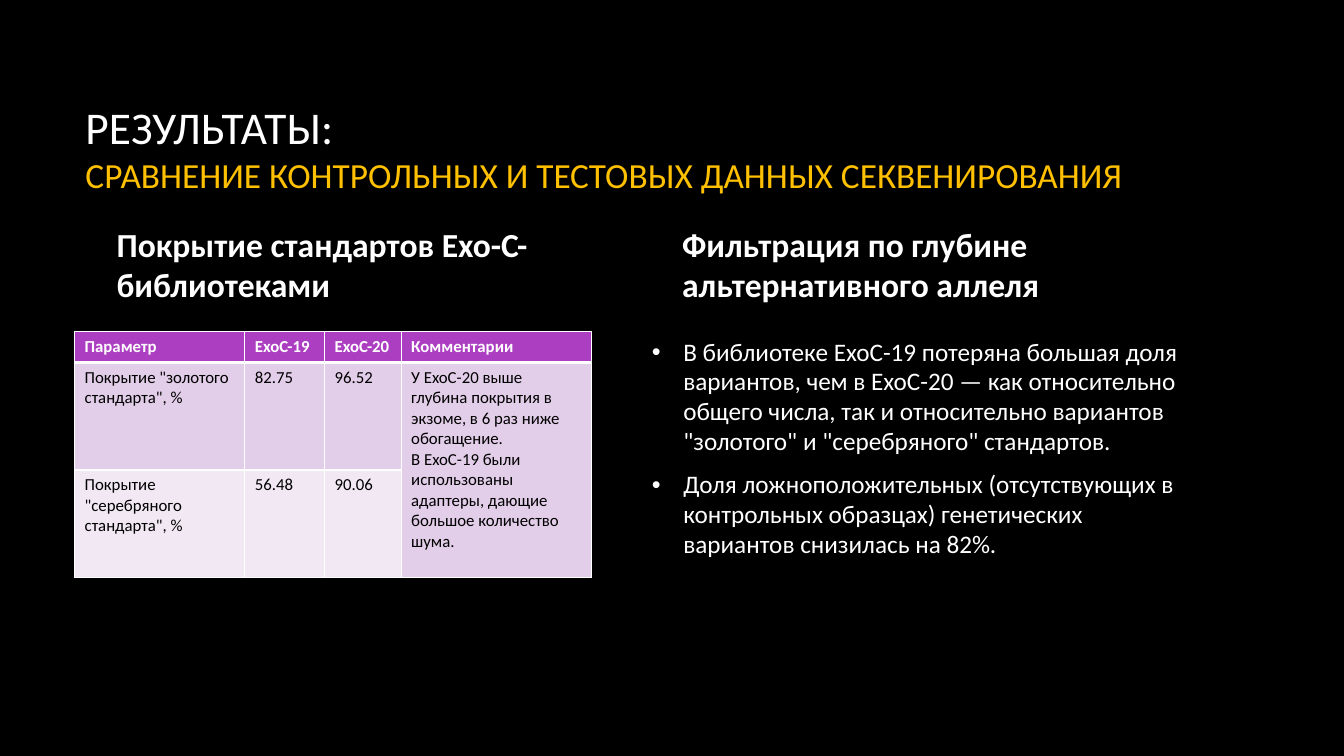
from lxml.etree import SubElement
from pptx import Presentation
from pptx.dml.color import RGBColor
from pptx.enum.text import MSO_ANCHOR as Anchor, MSO_AUTO_SIZE as AutoSize, PP_ALIGN as Align
from pptx.oxml.ns import qn
from pptx.util import Cm, Pt

WHITE, BLACK, GOLD = "FFFFFF", "000000", "FFC000"
HEADER_FILL, BAND_FILLS = "AC3EC1", ("E3CEE9", "F1E8F4")

HEADINGS = [
    ("Покрытие стандартов Exo-C-библиотеками", (2.69, 6.2, 11.13, 1.6)),
    ("Фильтрация по глубине альтернативного аллеля", (16.94, 6.2, 13.11, 1.6)),
]
FINDINGS = [
    "В библиотеке ExoC-19 потеряна большая доля вариантов, чем в ExoC-20 — как относительно "
    "общего числа, так и относительно вариантов \"золотого\" и \"серебряного\" стандартов.",
    "Доля ложноположительных (отсутствующих в контрольных образцах) генетических вариантов "
    "снизилась на 82%.",
]
COMMENT = (
    "У ExoC-20 выше глубина покрытия в экзоме, в 6 раз ниже обогащение.\n"
    "В ExoC-19 были использованы адаптеры, дающие большое количество шума."
)
COVERAGE = [
    ["Параметр", "ExoC-19", "ExoC-20", "Комментарии"],
    ["Покрытие \"золотого стандарта\", %", "82.75", "96.52", COMMENT],
    ["Покрытие \"серебряного стандарта\", %", "56.48", "90.06", ""],
]


def color(value):
    return RGBColor.from_string(value)


class SlideBuilder:
    font = "Calibri"

    def __init__(self, deck):
        self.page = deck.slides.add_slide(deck.slide_layouts[5])
        fill = self.page.background.fill
        fill.solid()
        fill.fore_color.rgb = color(BLACK)

    def span(self, para, text, size, ink=WHITE, bold=False):
        span = para.add_run()
        span.text = text
        for name, value in {"name": self.font, "size": Pt(size), "bold": bold}.items():
            setattr(span.font, name, value)
        span.font.color.rgb = color(ink)

    def frame(self, shape, anchor):
        frame = shape.text_frame
        settings = {"word_wrap": True, "auto_size": AutoSize.NONE, "vertical_anchor": anchor}
        for name, value in settings.items():
            setattr(frame, name, value)
        return frame

    def title(self, lines, area):
        title = self.page.shapes.title
        for name, value in zip(("left", "top", "width", "height"), area):
            setattr(title, name, Cm(value))
        para = self.frame(title, Anchor.MIDDLE).paragraphs[0]
        para.alignment = Align.LEFT
        for index, (text, size, ink) in enumerate(lines):
            if index:
                para.add_line_break()
            self.span(para, text, size, ink)

    def text(self, texts, area, size, anchor=Anchor.TOP, bold=False, bullets=False):
        box = self.page.shapes.add_textbox(*map(Cm, area))
        frame = self.frame(box, anchor)
        for index, text in enumerate(texts):
            para = frame.add_paragraph() if index else frame.paragraphs[0]
            para.space_after = Pt(10)
            self.span(para, text, size, bold=bold)
            if bullets:
                para.line_spacing = 0.98
                self.bullet(para)

    def bullet(self, para):
        props = para._p.get_or_add_pPr()
        props.set("marL", str(Cm(0.79)))
        props.set("indent", str(-Cm(0.79)))
        SubElement(props, qn("a:buFont"), typeface="Arial")
        SubElement(props, qn("a:buChar"), char="•")

    def borders(self, cell, top, bottom):
        """Draw white cell borders, with top and bottom widths in points."""
        props = cell._tc.get_or_add_tcPr()
        for side, width in (("L", 1), ("R", 1), ("T", top), ("B", bottom)):
            line = SubElement(props, qn(f"a:ln{side}"), w=str(Pt(width)))
            SubElement(SubElement(line, qn("a:solidFill")), qn("a:srgbClr"), val=WHITE)

    def table(self, rows, area, widths, heights, merged):
        frame = self.page.shapes.add_table(len(rows), len(widths), *map(Cm, area))
        table = frame.table
        table.horz_banding = False
        for column, width in zip(table.columns, widths):
            column.width = Cm(width)
        for row, height in zip(table.rows, heights):
            row.height = Cm(height)
        first, last = merged
        table.cell(*first).merge(table.cell(*last))
        for r, row in enumerate(rows):
            for c, text in enumerate(row):
                self.cell(table.cell(r, c), text, r)

    def cell(self, cell, text, row):
        header = row == 0
        self.borders(cell, top=3 if row == 1 else 1, bottom=3 if header else 1)
        cell.fill.solid()
        cell.fill.fore_color.rgb = color(HEADER_FILL if header else BAND_FILLS[row - 1])
        if not text:
            return
        for index, part in enumerate(text.split("\n")):
            frame = cell.text_frame
            para = frame.add_paragraph() if index else frame.paragraphs[0]
            self.span(para, part, 12, WHITE if header else BLACK, header)


def main():
    deck = Presentation()
    deck.slide_width, deck.slide_height = Cm(33.87), Cm(19.05)
    slide = SlideBuilder(deck)
    slide.title(
        [("РЕЗУЛЬТАТЫ:", 32.4, WHITE),
         ("СРАВНЕНИЕ КОНТРОЛЬНЫХ И ТЕСТОВЫХ ДАННЫХ СЕКВЕНИРОВАНИЯ", 25.2, GOLD)],
        (1.9, 1.7, 28.14, 4.04))
    for heading, area in HEADINGS:
        slide.text([heading], area, 24, Anchor.BOTTOM, bold=True)
    slide.text(FINDINGS, (16.18, 8.38, 13.87, 8.1), 18, bullets=True)
    slide.table(COVERAGE, (1.88, 8.36, 13.03, 6.17), widths=(4.29, 2.01, 1.93, 4.8),
                heights=(0.61, 2.71, 2.71), merged=((1, 3), (2, 3)))
    deck.save("out.pptx")


if __name__ == "__main__":
    main()
